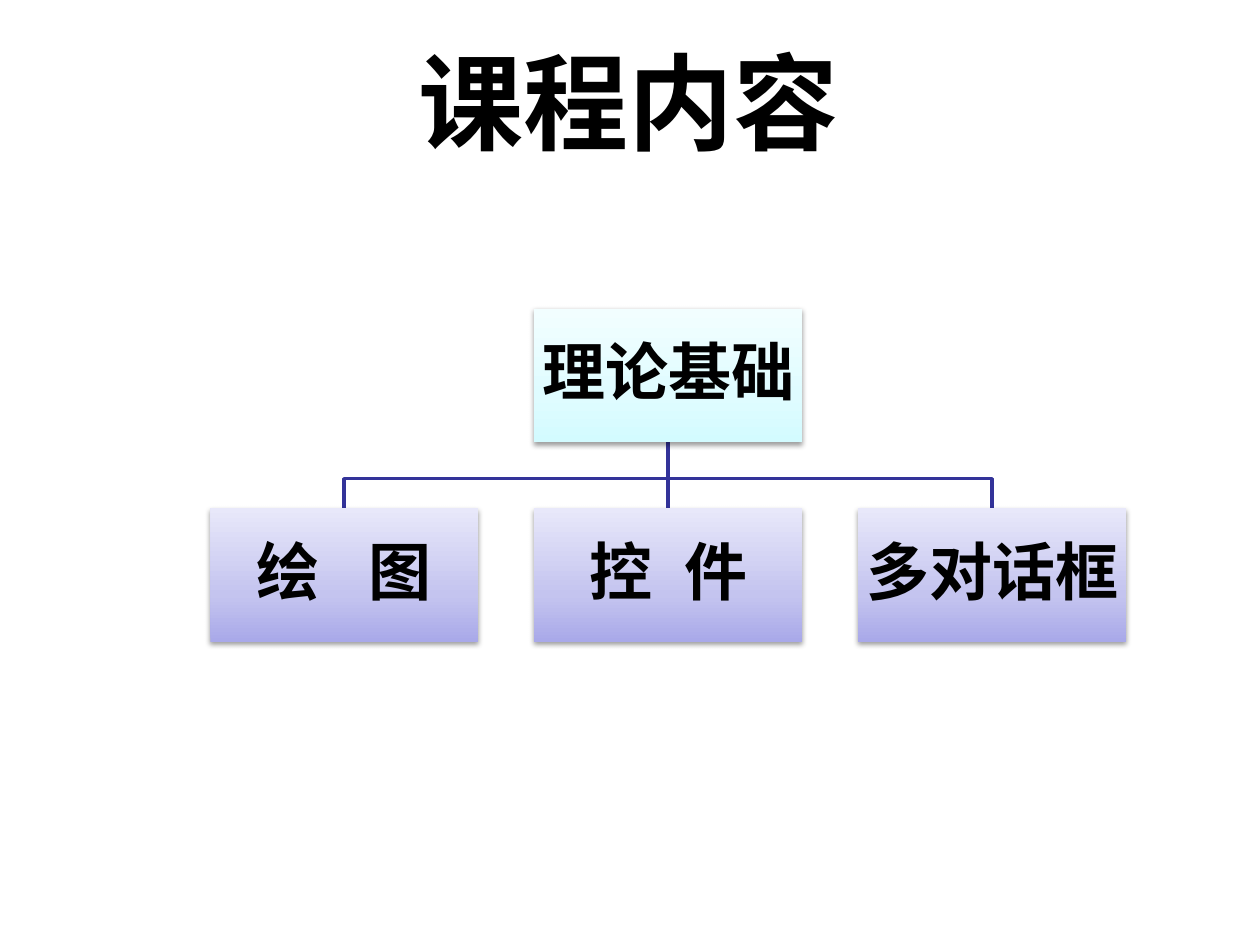
from lxml import etree
from pptx import Presentation, util as u
from pptx.dml.color import RGBColor
from pptx.enum import shapes, text
from pptx.oxml import parse_xml
from pptx.oxml.ns import nsdecls, qn

Cm, Pt = u.Cm, u.Pt

TITLE = "课程内容"
ROOT = "理论基础"
# label, extra points of width for the space inside it
LEAVES = [("绘 图", 20), ("控 件", 10), ("多对话框", 0)]
# gradient stops from the bottom edge up: percent, colour
AQUA = [(0, "D3FBFF"), (35, "DFFCFF"), (100, "F2FEFF")]
LILAC = [(0, "A9A9E9"), (35, "C4C4EF"), (100, "E8E8FA")]
NAVY, BLACK = "333399", "000000"

WIDE, HIGH = 5.4, 2.7
LEFT, STEP = 4.24, 6.53
TOP, BEND, LOW = 6.22, 9.65, 10.24


def color(code):
    return RGBColor.from_string(code)


def style(para, face, size):
    font = para.font
    font.name, font.size, font.bold = face, Pt(size), True
    font.color.rgb = color(BLACK)


def paint(shape, stops):
    """Give a shape an upward gradient, no line and a soft shadow below."""
    shape.line.fill.background()
    marks = "".join(
        f'<a:gs pos="{pos * 1000}"><a:srgbClr val="{code}"/></a:gs>'
        for pos, code in stops)
    grad = parse_xml(
        f'<a:gradFill {nsdecls("a")} rotWithShape="1"><a:gsLst>{marks}</a:gsLst>'
        '<a:lin ang="16200000" scaled="0"/></a:gradFill>')
    glow = parse_xml(
        f'<a:effectLst {nsdecls("a")}><a:outerShdw blurRad="{Pt(3.1)}" '
        f'dist="{Pt(1.6)}" dir="5400000" rotWithShape="0">'
        f'<a:srgbClr val="{BLACK}"><a:alpha val="38000"/></a:srgbClr>'
        '</a:outerShdw></a:effectLst>')
    line = shape.line._get_or_add_ln()
    line.addprevious(grad)
    line.addnext(glow)


def add_node(slide, left, top, label, stops, gap=0):
    node = slide.shapes.add_shape(
        shapes.MSO_SHAPE.RECTANGLE, Cm(left), Cm(top), Cm(WIDE), Cm(HIGH))
    paint(node, stops)
    frame = node.text_frame
    frame.word_wrap = True
    frame.vertical_anchor = text.MSO_ANCHOR.MIDDLE
    frame.margin_left = frame.margin_right = Cm(0.08)
    frame.margin_top = frame.margin_bottom = Cm(0.08)
    para = frame.paragraphs[0]
    para.alignment = text.PP_ALIGN.CENTER
    para.line_spacing, para.space_after = 0.9, Pt(12.6)
    style(para, "Arial", 36)
    for part in label.partition(" "):
        if part:
            run = para.add_run()
            run.text = part
            if part == " ":
                run.font._element.set("spc", str(gap * 100))


def add_link(slide, start, end):
    """Join the root to a leaf, bending when the leaf is off to a side."""
    foot = TOP + HIGH
    if start == end:
        link = slide.shapes.add_connector(
            shapes.MSO_CONNECTOR.STRAIGHT, Cm(start), Cm(foot), Cm(end), Cm(LOW))
        etree.SubElement(link._element.spPr, qn("a:effectLst"))
    else:
        pen = slide.shapes.build_freeform(Cm(start), Cm(foot))
        turns = [(start, BEND), (end, BEND), (end, LOW)]
        pen.add_line_segments([(Cm(x), Cm(y)) for x, y in turns], close=False)
        link = pen.convert_to_shape()
        link.fill.background()
        link.shadow.inherit = False
    link.line.color.rgb = color(NAVY)
    link.line.width = Pt(2)


def main():
    deck = Presentation()
    deck.slide_width, deck.slide_height = Cm(25.4), Cm(19.05)
    slide = deck.slides.add_slide(deck.slide_layouts[6])

    head = slide.shapes.add_textbox(Cm(8.18), Cm(0.64), Cm(9.32), Cm(2.79))
    head.text_frame.word_wrap = True
    para = head.text_frame.paragraphs[0]
    para.text = TITLE
    style(para, "Times New Roman", 60)

    lefts = [LEFT + STEP * i for i in range(len(LEAVES))]
    mid = (lefts[0] + lefts[-1]) / 2
    for left in lefts:
        add_link(slide, round(mid + WIDE / 2, 2), round(left + WIDE / 2, 2))
    add_node(slide, mid, TOP, ROOT, AQUA)
    for left, (label, gap) in zip(lefts, LEAVES):
        add_node(slide, left, LOW, label, LILAC, gap)

    deck.save("out.pptx")


if __name__ == "__main__":
    main()
